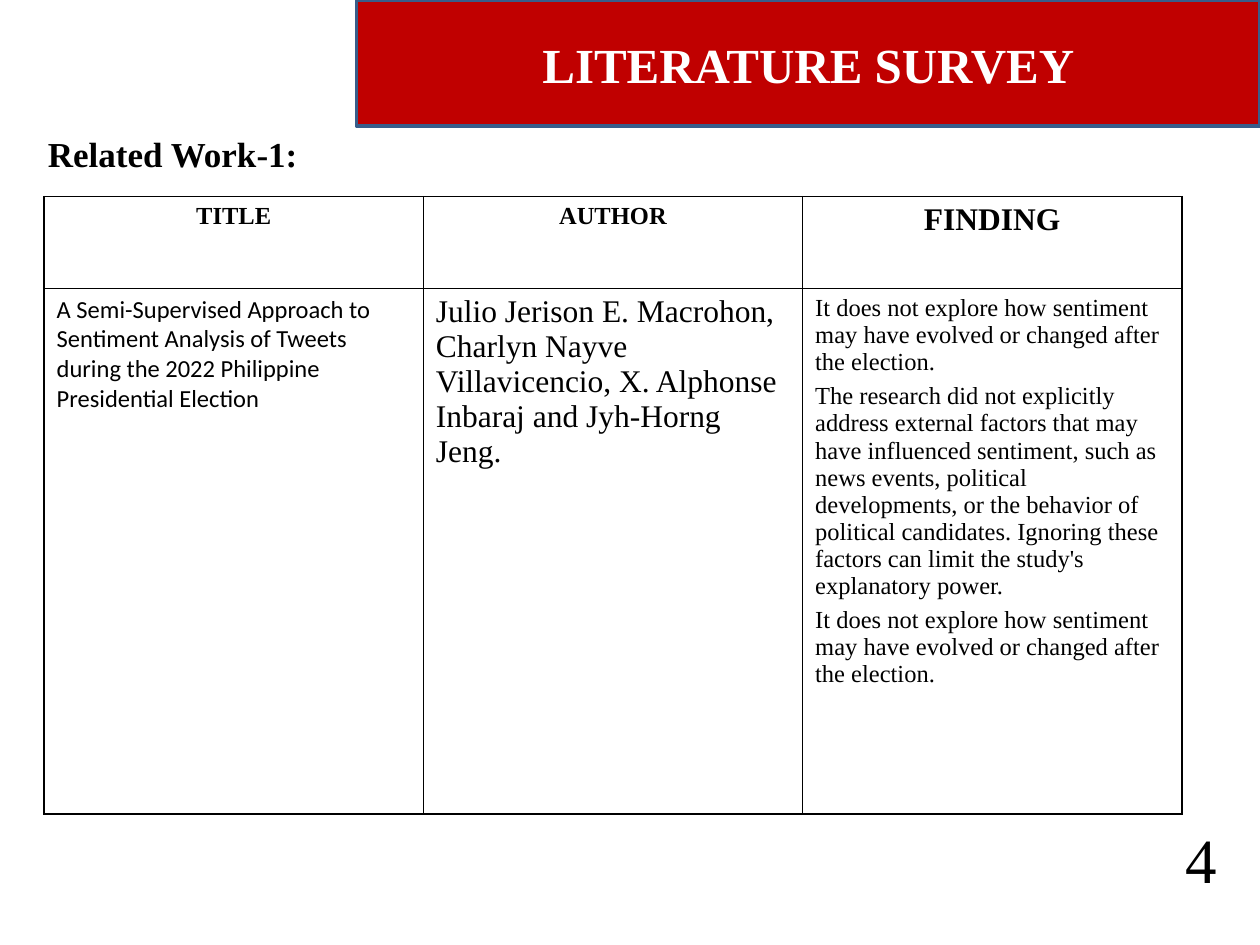
"""Build a literature survey slide with a banner title and a table of related work."""
from dataclasses import dataclass

import pptx
import pptx.dml.color
import pptx.enum.shapes
import pptx.enum.text
import pptx.oxml
import pptx.oxml.ns
import pptx.util
from pptx.util import Inches

ALIGN = pptx.enum.text.PP_ALIGN
ANCHOR = pptx.enum.text.MSO_ANCHOR


@dataclass(frozen=True)
class Theme:
    serif: str = "Times New Roman"
    sans: str = "Calibri"
    black: str = "000000"
    white: str = "FFFFFF"
    banner: str = "C00000"
    banner_line: str = "385D8A"
    title: int = 28
    heading: int = 20
    large: int = 18
    body: int = 14
    number: int = 36


THEME = Theme()


@dataclass(frozen=True)
class Style:
    size: int
    font: str = THEME.serif
    color: str = THEME.black
    bold: bool = False
    align: ALIGN = ALIGN.LEFT
    before: int = 0


@dataclass(frozen=True)
class Entry:
    text: str
    style: Style


HEADER = Style(THEME.body, bold=True, align=ALIGN.CENTER)
BIG_HEADER = Style(THEME.large, bold=True, align=ALIGN.CENTER)
UNEXPLORED = "It does not explore how sentiment may have evolved or changed after the election."
ROWS = [
    [Entry("TITLE", HEADER), Entry("AUTHOR", HEADER), Entry("FINDING", BIG_HEADER)],
    [
        Entry(
            "A Semi-Supervised Approach to Sentiment Analysis of Tweets\n"
            "during the 2022 Philippine Presidential Election",
            Style(THEME.body, font=THEME.sans),
        ),
        Entry(
            "Julio Jerison E. Macrohon, Charlyn Nayve Villavicencio, "
            "X. Alphonse Inbaraj and Jyh-Horng Jeng.",
            Style(THEME.large),
        ),
        Entry(
            f"{UNEXPLORED}\n"
            "The research did not explicitly address external factors that may have "
            "influenced sentiment, such as news events, political developments, or the "
            "behavior of political candidates. Ignoring these factors can limit the "
            f"study's explanatory power.\n{UNEXPLORED}",
            Style(THEME.body, before=4),
        ),
    ],
]
ROW_HEIGHTS = (0.73, 4.17)


def rgb(color: str) -> pptx.dml.color.RGBColor:
    """Turn a hex string into a colour."""
    return pptx.dml.color.RGBColor.from_string(color)


def write(tf: pptx.text.text.TextFrame, text: str, style: Style) -> None:
    """Set the text of a frame and format its runs."""
    tf.text = text
    for p in tf.paragraphs:
        p.alignment = style.align
        p.space_before = pptx.util.Pt(style.before)
        for r in p.runs:
            r.font.name = style.font
            r.font.size = pptx.util.Pt(style.size)
            r.font.bold = style.bold
            r.font.color.rgb = rgb(style.color)


def set_frame(tf: pptx.text.text.TextFrame, inset: float, anchor: ANCHOR, wrap: bool = True) -> None:
    """Set insets, anchor and wrapping of a text frame."""
    tf.margin_left = tf.margin_right = tf.margin_top = tf.margin_bottom = Inches(inset)
    tf.vertical_anchor = anchor
    tf.word_wrap = wrap
    tf.auto_size = pptx.enum.text.MSO_AUTO_SIZE.NONE


def add_title(s: pptx.slide.Slide) -> None:
    """Place the title over its banner."""
    left, width = Inches(2.83), Inches(7.17)
    banner = s.shapes.add_shape(
        pptx.enum.shapes.MSO_SHAPE.RECTANGLE, left, 0, width, Inches(1)
    )
    banner.shadow.inherit = False
    banner.fill.solid()
    banner.fill.fore_color.rgb = rgb(THEME.banner)
    banner.line.color.rgb = rgb(THEME.banner_line)
    banner.line.width = pptx.util.Pt(2)
    sp = s.shapes.title
    sp.left, sp.top, sp.width, sp.height = left, Inches(0.24), width, Inches(0.53)
    sp.element.addprevious(banner.element)
    set_frame(sp.text_frame, 0.05, ANCHOR.MIDDLE)
    write(
        sp.text_frame,
        "LITERATURE SURVEY",
        Style(THEME.title, color=THEME.white, bold=True, align=ALIGN.CENTER),
    )


def add_border(cell: pptx.table._Cell) -> None:
    """Draw a thin line on all four sides of a cell."""
    tcPr = cell._tc.get_or_add_tcPr()
    for side in "LRTB":
        tcPr.append(pptx.oxml.parse_xml(
            f'<a:ln{side} {pptx.oxml.ns.nsdecls("a")} w="12700"><a:solidFill>'
            f'<a:srgbClr val="{THEME.black}"/></a:solidFill></a:ln{side}>'
        ))


def add_survey(s: pptx.slide.Slide) -> None:
    """Add the table of related work."""
    table = s.shapes.add_table(
        len(ROWS), len(ROWS[0]), Inches(0.35), Inches(1.56),
        Inches(9.03), Inches(sum(ROW_HEIGHTS)),
    ).table
    table.first_row = table.horz_banding = False
    for row, height, entries in zip(table.rows, ROW_HEIGHTS, ROWS):
        row.height = Inches(height)
        for cell, entry in zip(row.cells, entries):
            add_border(cell)
            cell.fill.background()
            write(cell.text_frame, entry.text, entry.style)


def main() -> None:
    """Build and save the slide."""
    prs = pptx.Presentation()
    prs.slide_width, prs.slide_height = Inches(10), Inches(7.5)
    s = prs.slides.add_slide(prs.slide_layouts[5])
    add_title(s)
    sp = s.shapes.add_textbox(Inches(0.33), Inches(1), Inches(9.08), Inches(0.44))
    set_frame(sp.text_frame, 0.05, ANCHOR.TOP)
    write(sp.text_frame, "Related Work-1:", Style(THEME.heading, bold=True))
    add_survey(s)
    sp = s.shapes.add_textbox(Inches(9.31), Inches(6.46), Inches(0.45), Inches(0.71))
    set_frame(sp.text_frame, 0.05, ANCHOR.TOP, wrap=False)
    write(sp.text_frame, "4", Style(THEME.number, align=ALIGN.CENTER))
    prs.save("out.pptx")


if __name__ == "__main__":
    main()
